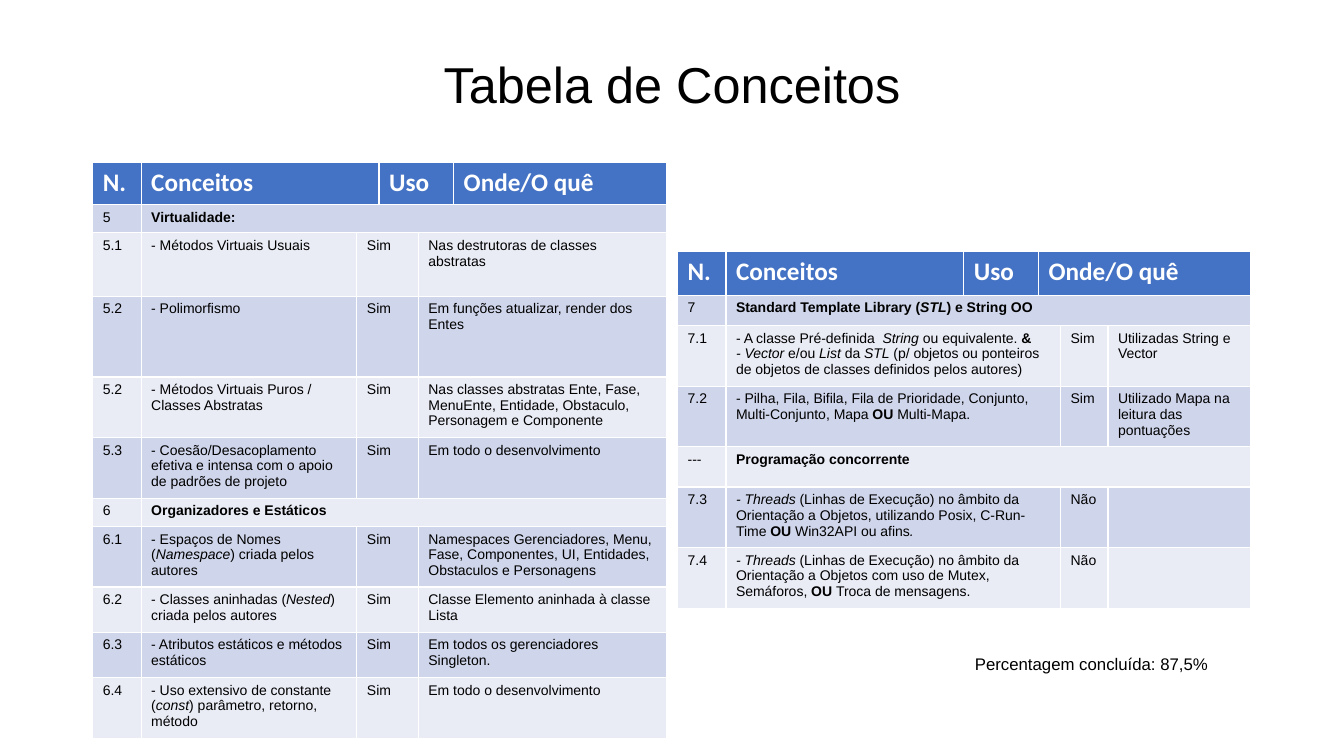
from pptx import Presentation
from pptx.dml.color import RGBColor
from pptx.enum.text import MSO_ANCHOR, PP_ALIGN
from pptx.util import Inches, Pt

THEME = {
    "head_fill": "4472C4", "bands": ("CFD5EA", "E9EBF5"),
    "head_text": "FFFFFF", "text": "000000",
    "head_font": "Calibri", "body_font": "Arial",
    "title": 36, "head": 18, "body": 10, "note": 12,
}
W, H = 13.33, 7.5
MARGIN, TABLE_W = 0.92, 5.69


def style(r, size, color="text", font="body_font", bold=False, italic=False):
    r.font.size, r.font.name = Pt(THEME[size]), THEME[font]
    r.font.color.rgb = RGBColor.from_string(THEME[color])
    r.font.bold, r.font.italic = bold, italic


def write(tf, text, size, color="text", font="body_font", bold=False):
    """Write lines of text; *...* marks bold and _..._ marks italic."""
    for n, line in enumerate(text.split("\n")):
        p = tf.paragraphs[0] if n == 0 else tf.add_paragraph()
        strong = bold
        for i, strong_part in enumerate(line.split("*")):
            strong = bold or i % 2 == 1
            for j, part in enumerate(strong_part.split("_")):
                if part:
                    r = p.add_run()
                    r.text = part
                    style(r, size, color, font, strong, j % 2 == 1)


prs = Presentation()
prs.slide_width, prs.slide_height = Inches(W), Inches(H)
s = prs.slides.add_slide(prs.slide_layouts[6])

# Title
tf = s.shapes.add_textbox(Inches(MARGIN), Inches(0.4), Inches(W - 2 * MARGIN), Inches(0.92)).text_frame
tf.word_wrap = True
tf.vertical_anchor = MSO_ANCHOR.MIDDLE
write(tf, "Tabela de Conceitos", "title")
tf.paragraphs[0].alignment = PP_ALIGN.CENTER
tf.paragraphs[0].line_spacing = 0.9

# Table contents: a row of two texts is a section heading
HEADER = ("N.", "Conceitos", "Uso", "Onde/O quê")
SECTION_STARTS = (0, 1)
oop_rows = [
    ("5", "*Virtualidade:*"),
    ("5.1", "- Métodos Virtuais Usuais", "Sim", "Nas destrutoras de classes abstratas"),
    ("5.2", "- Polimorfismo", "Sim", "Em funções atualizar, render dos Entes"),
    ("5.2", "- Métodos Virtuais Puros / Classes Abstratas", "Sim",
     "Nas classes abstratas Ente, Fase, MenuEnte, Entidade, Obstaculo, Personagem e Componente"),
    ("5.3", "- Coesão/Desacoplamento efetiva e intensa com o apoio de padrões de projeto", "Sim",
     "Em todo o desenvolvimento"),
    ("6", "*Organizadores e Estáticos*"),
    ("6.1", "- Espaços de Nomes (_Namespace_) criada pelos autores", "Sim",
     "Namespaces Gerenciadores, Menu, Fase, Componentes, UI, Entidades, Obstaculos e Personagens"),
    ("6.2", "- Classes aninhadas (_Nested_) criada pelos autores", "Sim",
     "Classe Elemento aninhada à classe Lista"),
    ("6.3", "- Atributos estáticos e métodos estáticos", "Sim", "Em todos os gerenciadores Singleton."),
    ("6.4", "- Uso extensivo de constante (_const_) parâmetro, retorno, método", "Sim",
     "Em todo o desenvolvimento"),
]
library_rows = [
    ("7", "*Standard Template Library (_STL_) e String OO*"),
    ("7.1", "- A classe Pré-definida  _String_ ou equivalente. *&*\n"
     "_- Vector_ e/ou _List _da_ STL _(p/ objetos ou ponteiros de objetos de classes definidos pelos autores)",
     "Sim", "Utilizadas String e Vector"),
    ("7.2", "- Pilha, Fila, Bifila, Fila de Prioridade, Conjunto, Multi-Conjunto, Mapa *OU *Multi-Mapa.",
     "Sim", "Utilizado Mapa na leitura das pontuações"),
    ("---", "*Programação concorrente*"),
    ("7.3", "_- Threads_ (Linhas de Execução) no âmbito da Orientação a Objetos, utilizando Posix, "
     "C-Run-Time *OU *Win32API ou afins_._", "Não", ""),
    ("7.4", "_- Threads_ (Linhas de Execução) no âmbito da Orientação a Objetos com uso de Mutex, "
     "Semáforos, *OU *Troca de mensagens.", "Não", ""),
]

# Each table: left, top, column widths, row heights, first columns of header and body cells, rows
tables = [
    (MARGIN, 1.61, (0.48, 2.14, 0.22, 0.39, 0.35, 2.11),
     (0.42, 0.28, 0.63, 0.8, 0.45, 0.45, 0.28, 0.45, 0.45, 0.45, 0.33),
     (0, 1, 3, 5), (0, 1, 2, 4), oop_rows),
    (W - MARGIN - TABLE_W, 2.49, (0.48, 2.36, 0.74, 0.22, 0.47, 1.41),
     (0.44, 0.3, 0.6, 0.4, 0.4, 0.48, 0.35),
     (0, 1, 2, 3), (0, 1, 4, 5), library_rows),
]

# Tables
for left, top, widths, heights, head_starts, body_starts, rows in tables:
    table = s.shapes.add_table(len(heights), len(widths), Inches(left), Inches(top),
                               Inches(TABLE_W), Inches(sum(heights))).table
    for column, width in zip(table.columns, widths):
        column.width = Inches(width)
    for row, height in zip(table.rows, heights):
        row.height = Inches(height)
    for i, texts in enumerate([HEADER] + rows):
        fill = THEME["bands"][(i - 1) % 2] if i else THEME["head_fill"]
        for cell in table.rows[i].cells:
            cell.fill.solid()
            cell.fill.fore_color.rgb = RGBColor.from_string(fill)
        starts = SECTION_STARTS if len(texts) == 2 else body_starts if i else head_starts
        ends = starts[1:] + (len(widths),)
        for text, start, end in zip(texts, starts, ends):
            cell = table.cell(i, start)
            if end - start > 1:
                cell.merge(table.cell(i, end - 1))
            if i:
                write(cell.text_frame, text, "body")
            else:
                write(cell.text_frame, text, "head", "head_text", "head_font", True)

# Completion note
tf = s.shapes.add_textbox(Inches(9.57), Inches(6.44), Inches(2.55), Inches(0.3)).text_frame
tf.word_wrap = True
write(tf, "Percentagem concluída: 87,5%", "note")

prs.save("out.pptx")
